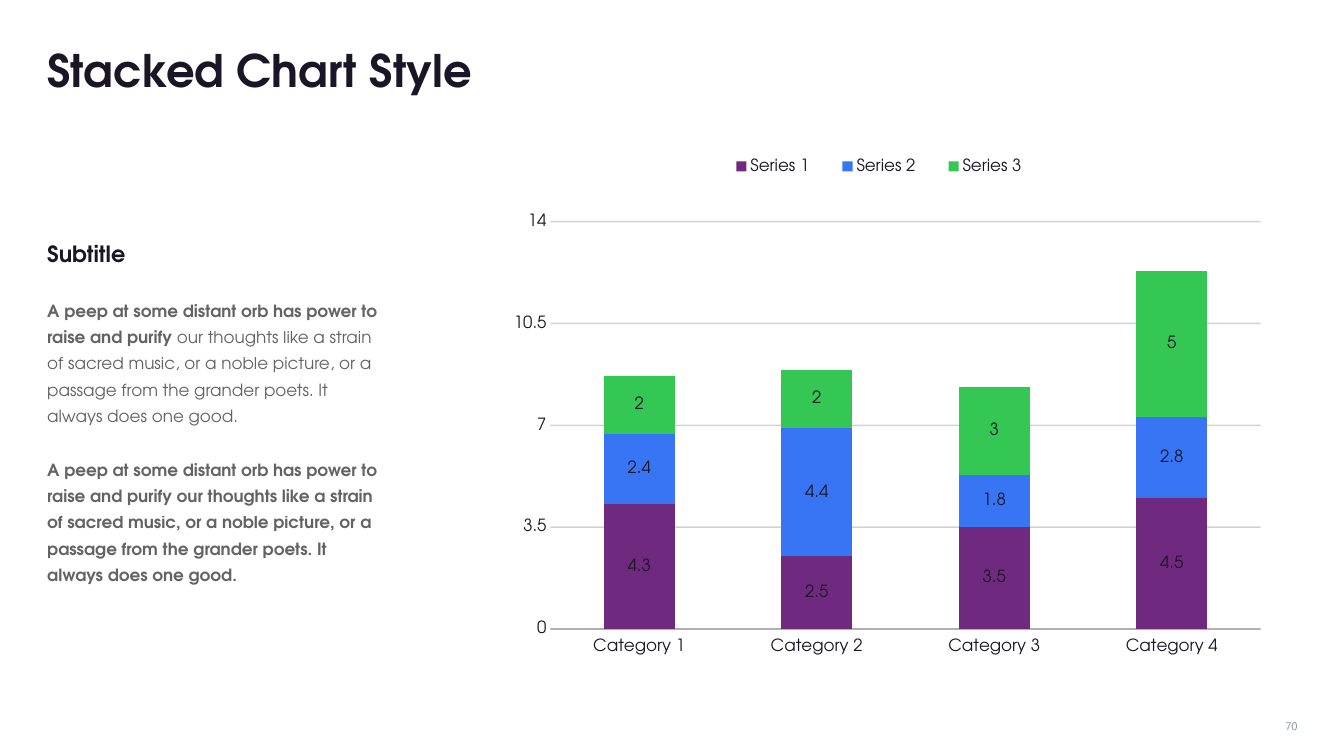
from dataclasses import dataclass

import pptx
import pptx.chart.data
import pptx.dml.color
import pptx.enum.chart
import pptx.enum.text
import pptx.oxml
import pptx.oxml.ns
import pptx.util

Inches = pptx.util.Inches
Pt = pptx.util.Pt
RGBColor = pptx.dml.color.RGBColor
PP_ALIGN = pptx.enum.text.PP_ALIGN
MSO_ANCHOR = pptx.enum.text.MSO_ANCHOR
qn = pptx.oxml.ns.qn

INK = RGBColor(0x1B, 0x16, 0x26)
GREY = RGBColor(0x22, 0x22, 0x22)
SLATE = RGBColor(0x88, 0x9D, 0xAC)
PURPLE = RGBColor(0x6F, 0x2A, 0x7F)
BLUE = RGBColor(0x37, 0x75, 0xF5)
GREEN = RGBColor(0x34, 0xC7, 0x54)
WHITE = RGBColor(0xFF, 0xFF, 0xFF)
FONT = "TeX Gyre Adventor"


@dataclass
class Run:
    text: str
    size: float
    color: RGBColor
    bold: bool = False
    font: str = FONT
    alpha: int = 100


@dataclass
class Series:
    name: str
    values: tuple[float, ...]
    color: RGBColor
    label_format: str


QUOTE_START = "A peep at some distant orb has power to raise and purify "
QUOTE_END = ("our thoughts like a strain of sacred music, or a noble picture, "
             "or a passage from the grander poets. It always does one good.")
BODY = [
    [Run("Subtitle", 16, INK, True)],
    [Run(QUOTE_START, 12, GREY, True, alpha=70), Run(QUOTE_END, 12, GREY, alpha=70)],
    [Run(QUOTE_START + QUOTE_END, 12, GREY, True, alpha=70)],
]
CATEGORIES = [f"Category {n}" for n in range(1, 5)]
SERIES = [
    Series("Series 1", (4.3, 2.5, 3.5, 4.5), PURPLE, "0.#"),
    Series("Series 2", (2.4, 4.4, 1.8, 2.8), BLUE, "0.#"),
    Series("Series 3", (2, 2, 3, 5), GREEN, "0"),
]


def set_alpha(props, percent: int) -> None:
    """Make the solid colour inside props partly transparent."""
    color = next(props.iter(qn("a:srgbClr")))
    alpha = pptx.oxml.parse_xml(
        f'<a:alpha {pptx.oxml.ns.nsdecls("a")} val="{percent * 1000}"/>')
    color.append(alpha)


def add_text(slide, box: tuple[float, ...], paragraphs: list[list[Run]],
             align=PP_ALIGN.LEFT, anchor=MSO_ANCHOR.TOP,
             line_spacing: float = 1.0, space_before: float = 0) -> None:
    tf = slide.shapes.add_textbox(*map(Inches, box)).text_frame
    tf.word_wrap = True
    tf.vertical_anchor = anchor
    for i, runs in enumerate(paragraphs):
        p = tf.add_paragraph() if i else tf.paragraphs[0]
        p.alignment = align
        p.line_spacing = line_spacing
        if i:
            p.space_before = Pt(space_before)
        for run in runs:
            r = p.add_run()
            r.text = run.text
            r.font.size = Pt(run.size)
            r.font.bold = run.bold
            r.font.name = run.font
            r.font.color.rgb = run.color
            if run.alpha < 100:
                set_alpha(r.font._element, run.alpha)


def style_line(line, alpha: int) -> None:
    line.color.rgb = GREY
    line.width = Pt(1)
    set_alpha(line._ln, alpha)


def set_layout(parent, position: int, box: tuple[float, ...], target: str = "") -> None:
    """Place a chart part by fractions of the chart's size."""
    for old in parent.findall(qn("c:layout")):
        parent.remove(old)
    inner = f'<c:layoutTarget val="{target}"/>' if target else ""
    modes = "".join(f'<c:{axis}Mode val="edge"/>' for axis in "xy")
    sizes = "".join(f'<c:{k} val="{v}"/>' for k, v in zip("xywh", box))
    parent.insert(position, pptx.oxml.parse_xml(
        f'<c:layout {pptx.oxml.ns.nsdecls("c")}><c:manualLayout>'
        f"{inner}{modes}{sizes}</c:manualLayout></c:layout>"))


def add_stacked_chart(slide, box: tuple[float, ...]) -> None:
    enums = pptx.enum.chart
    data = pptx.chart.data.CategoryChartData()
    data.categories = CATEGORIES
    for item in SERIES:
        data.add_series(item.name, item.values)
    chart = slide.shapes.add_chart(
        enums.XL_CHART_TYPE.COLUMN_STACKED, *map(Inches, box), data).chart
    chart.has_title = False
    chart.font.size = Pt(12)
    chart.font.name = FONT
    chart.font.color.rgb = INK

    # Legend
    chart.has_legend = True
    chart.legend.position = enums.XL_LEGEND_POSITION.TOP
    chart.legend.include_in_layout = True
    set_layout(chart.legend._element, 1, (0.27, 0, 0.45, 0.06))

    # Axes
    cat_axis, val_axis = chart.category_axis, chart.value_axis
    for axis in (cat_axis, val_axis):
        axis.major_tick_mark = enums.XL_TICK_MARK.NONE
        axis.minor_tick_mark = enums.XL_TICK_MARK.NONE
    cat_axis.tick_label_position = enums.XL_TICK_LABEL_POSITION.LOW
    style_line(cat_axis.format.line, 40)
    val_axis.minimum_scale = 0
    val_axis.maximum_scale = 14
    val_axis.major_unit = 3.5
    val_axis.tick_labels.number_format = "0.#"
    val_axis.tick_labels.number_format_is_linked = True
    val_axis.format.line.fill.background()
    style_line(val_axis.major_gridlines.format.line, 20)

    # Columns and value labels
    plot = chart.plots[0]
    plot.gap_width = 150
    plot.overlap = 100
    plot.vary_by_categories = False
    for item, series in zip(SERIES, plot.series):
        series.format.fill.solid()
        series.format.fill.fore_color.rgb = item.color
        labels = series.data_labels
        labels.show_value = True
        labels.position = enums.XL_LABEL_POSITION.CENTER
        labels.number_format = item.label_format
        labels.number_format_is_linked = True
    plot_area = chart._chartSpace.chart.plotArea
    set_layout(plot_area, 0, (0.06, 0.14, 0.94, 0.81), "inner")


def main() -> None:
    prs = pptx.Presentation()
    prs.slide_width, prs.slide_height = Inches(13.33), Inches(7.5)
    slide = prs.slides.add_slide(prs.slide_layouts[6])
    slide.background.fill.solid()
    slide.background.fill.fore_color.rgb = WHITE

    # Page number, title and body text
    add_text(slide, (12.41, 7.09, 0.56, 0.24), [[Run("70", 8, SLATE, font="Arial")]],
             align=PP_ALIGN.RIGHT)
    add_text(slide, (0.37, 0.36, 12.59, 0.66),
             [[Run("Stacked Chart Style", 32, INK, True)]], anchor=MSO_ANCHOR.MIDDLE)
    add_text(slide, (0.37, 2.25, 3.54, 3.92), BODY, line_spacing=1.3, space_before=20)

    # Chart
    add_stacked_chart(slide, (5.01, 1.5, 7.5, 5))
    prs.save("out.pptx")


if __name__ == "__main__":
    main()
